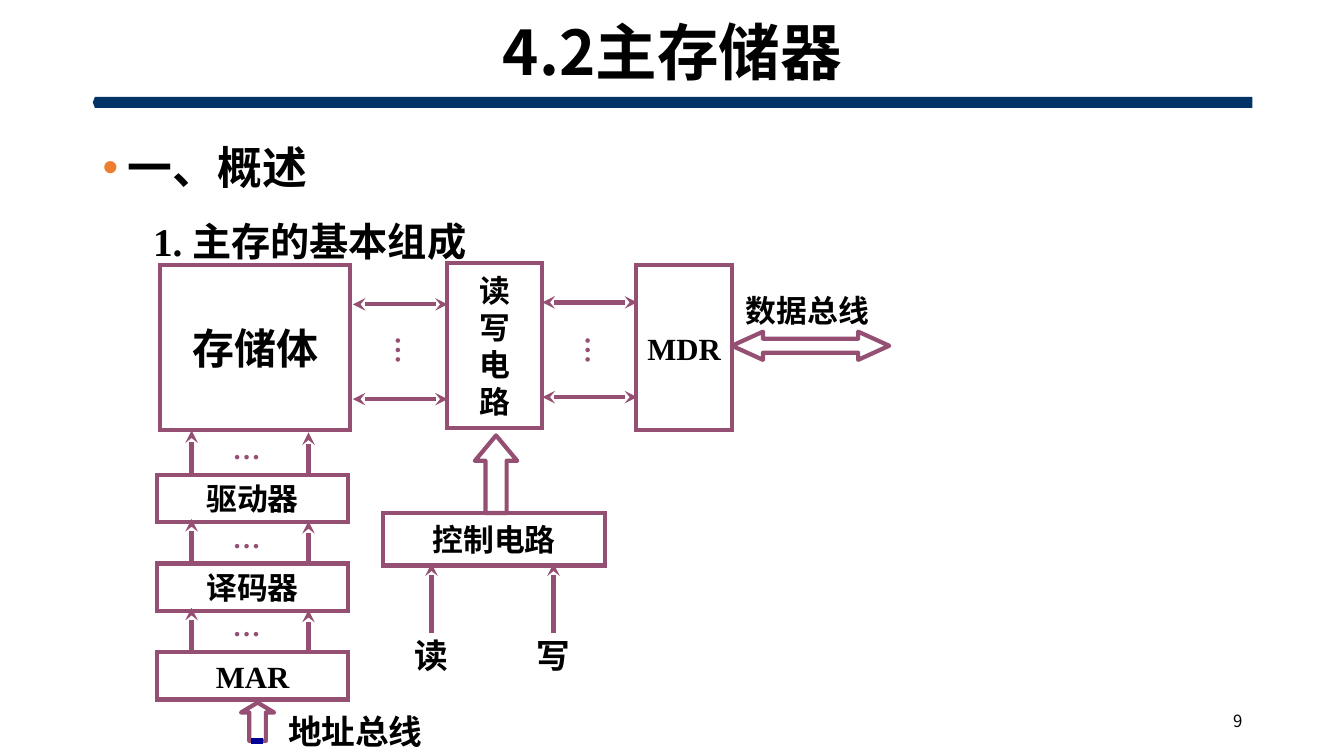
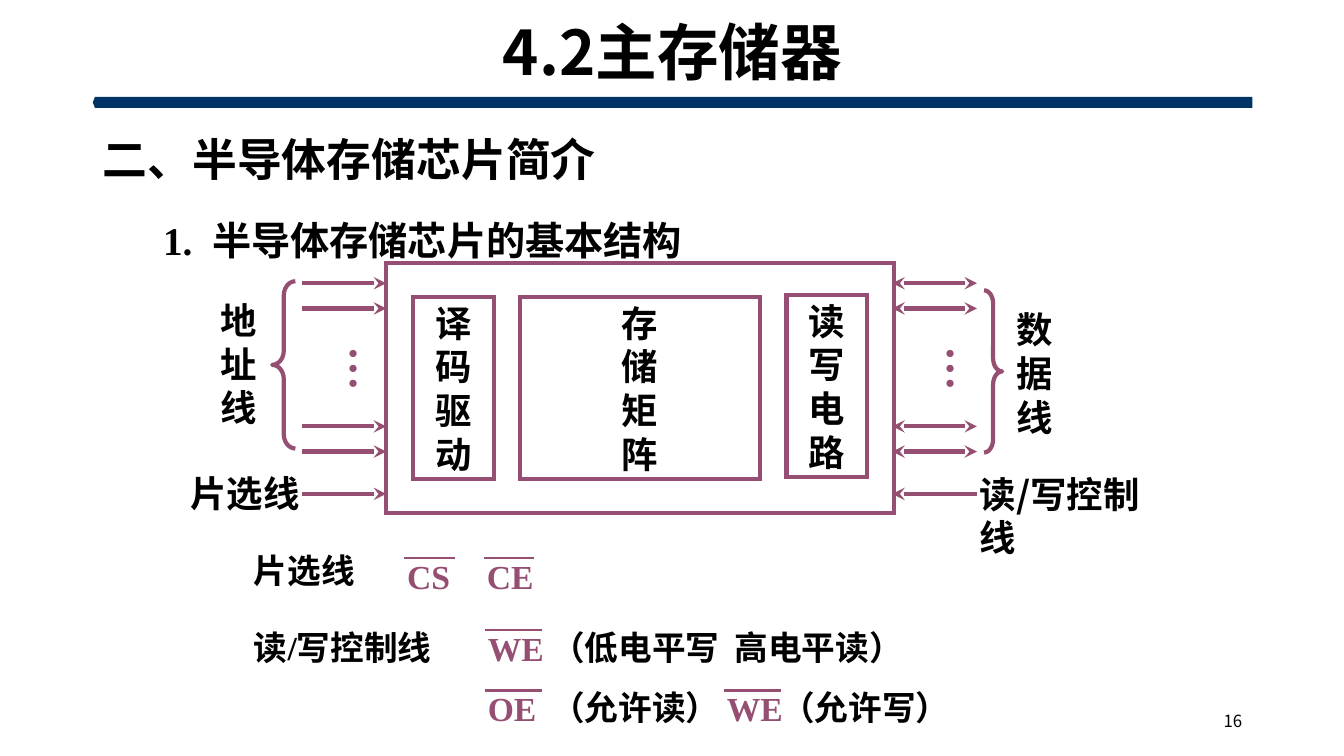
"""Build two lecture slides about main memory and memory chips."""
from lxml import etree
from pptx import Presentation
from pptx import util as u
from pptx.dml import color as dml
from pptx.enum import shapes as es
from pptx.enum import text as et
from pptx.oxml import ns

COLORS = {"black": "000000", "band": "003366", "line": "954F72",
          "bullet": "ED7D31", "mark": "000099"}
SANS = "Noto Sans CJK SC"
SERIF = "Times New Roman"
SHAPE = es.MSO_SHAPE


def rgb(name):
    """Return the named colour."""
    return dml.RGBColor.from_string(COLORS[name])


def add_element(parent, tag, **attributes):
    """Append a drawing element to a parent element."""
    return etree.SubElement(parent, ns.qn(tag), attributes)


class Deck:
    """Hold the shared style and the current slide."""

    def __init__(self):
        """Start a wide presentation."""
        self.presentation = Presentation()
        self.presentation.slide_width = u.Inches(13.33)
        self.presentation.slide_height = u.Inches(7.5)
        self.slide = None

    def place(self, at):
        """Turn inches into lengths."""
        return [u.Inches(value) for value in at]

    def style(self, paragraph, size, color="black", font=SERIF, bold=True):
        """Format the runs of a paragraph."""
        for run in paragraph.runs:
            run.font.size = u.Pt(size)
            run.font.bold = bold
            run.font.color.rgb = rgb(color)
            run.font.name = font
            add_element(run.font._element, "a:ea", typeface=SANS)

    def new_slide(self, title, number):
        """Add a slide with title, band and page number."""
        layout = self.presentation.slide_layouts[5]
        self.slide = self.presentation.slides.add_slide(layout)
        shape = self.slide.shapes.title
        shape.left, shape.top, shape.width, shape.height = self.place((0.92, 0.14, 11.5, 0.82))
        shape.text_frame.text = title
        shape.text_frame.vertical_anchor = et.MSO_ANCHOR.MIDDLE
        paragraph = shape.text_frame.paragraphs[0]
        paragraph.alignment = et.PP_ALIGN.CENTER
        paragraph.line_spacing = 0.9
        self.style(paragraph, 44, font=SANS)
        band = self.slide.shapes.add_shape(SHAPE.PENTAGON, *self.place((0.92, 0.96, 11.5, 0.11)))
        band.adjustments[0] = 0.2
        band.rotation = 180
        band.shadow.inherit = False
        band.fill.solid()
        band.fill.fore_color.rgb = rgb("band")
        band.line.fill.background()
        page = self.slide.shapes.add_textbox(*self.place((9.42, 6.95, 3, 0.4)))
        page.text_frame.word_wrap = True
        page.text_frame.vertical_anchor = et.MSO_ANCHOR.MIDDLE
        page.text_frame.text = str(number)
        paragraph = page.text_frame.paragraphs[0]
        paragraph.alignment = et.PP_ALIGN.RIGHT
        self.style(paragraph, 12, font=SANS, bold=False)

    def body(self, top, heading, topic, indent, bullet=False, gap=0):
        """Add the section heading and the topic below it."""
        shape = self.slide.shapes.add_textbox(*self.place((0.92, top, 11.5, 1.7)))
        frame = shape.text_frame
        frame.word_wrap = True
        frame.text = f"{heading}\n{topic}"
        first, second = frame.paragraphs
        if bullet:
            properties = first._p.get_or_add_pPr()
            properties.set("marL", str(u.Inches(0.25)))
            properties.set("indent", str(-u.Inches(0.25)))
            add_element(add_element(properties, "a:buClr"), "a:srgbClr", val=COLORS["bullet"])
            add_element(properties, "a:buFont", typeface="Arial")
            add_element(properties, "a:buChar", char="•")
        second._p.get_or_add_pPr().set("marL", str(u.Inches(indent)))
        second.space_before = u.Pt(gap)
        for paragraph, size in ((first, 32), (second, 28)):
            paragraph.line_spacing = 1.5
            self.style(paragraph, size)

    def label(self, text, at, size, color="black", font=SERIF, wrap=False, rotation=0, vertical=False):
        """Add a free text label."""
        shape = self.slide.shapes.add_textbox(*self.place(at))
        shape.rotation = rotation
        frame = shape.text_frame
        frame.word_wrap = wrap
        frame.auto_size = et.MSO_AUTO_SIZE.SHAPE_TO_FIT_TEXT
        if vertical:
            frame._txBody.bodyPr.set("vert", "eaVert")
        frame.text = text
        for paragraph in frame.paragraphs:
            self.style(paragraph, size, color, font)

    def outline(self, kind, at, adjustments=()):
        """Add an unfilled preset shape."""
        shape = self.slide.shapes.add_shape(kind, *self.place(at))
        for index, value in enumerate(adjustments):
            shape.adjustments[index] = value
        shape.shadow.inherit = False
        shape.fill.background()
        shape.line.color.rgb = rgb("line")
        shape.line.width = u.Pt(3)
        return shape

    def block(self, at, text="", size=22, font=SERIF):
        """Add a sharp-cornered box with centred text."""
        shape = self.outline(SHAPE.RECTANGLE, at)
        add_element(shape.line._get_or_add_ln(), "a:miter", lim="800000")
        frame = shape.text_frame
        frame.margin_left = frame.margin_right = frame.margin_top = frame.margin_bottom = 0
        frame.vertical_anchor = et.MSO_ANCHOR.MIDDLE
        frame.text = text
        for paragraph in frame.paragraphs:
            paragraph.alignment = et.PP_ALIGN.CENTER
            self.style(paragraph, size, font=font)

    def line(self, start, end, ends=(), color="line", width=3):
        """Add a line with stealth heads at the given ends."""
        connector = self.slide.shapes.add_connector(
            es.MSO_CONNECTOR.STRAIGHT, *self.place((*start, *end)))
        connector.line.color.rgb = rgb(color)
        connector.line.width = u.Pt(width)
        for end_tag in ends:
            add_element(connector.line._get_or_add_ln(), end_tag, type="stealth")
        add_element(connector._element.spPr, "a:effectLst")

    def arrow(self, start, end, both=False):
        """Add a one-way or two-way arrow."""
        self.line(start, end, ("a:headEnd", "a:tailEnd") if both else ("a:tailEnd",))

    def signal(self, name, left, top, width):
        """Add an active-low signal name with its overline."""
        self.label(name, (left - 0.07, top - 0.07, width + 0.35, 0.5), 24, "line", wrap=True)
        self.line((left, top), (left + width, top), width=1.5)


def build_memory(deck):
    """Draw the composition of the main memory."""
    deck.new_slide("4.2主存储器", 9)
    deck.body(1.07, "一、概述", "1. 主存的基本组成", 0.5, bullet=True)
    deck.block((1.59, 2.63, 1.88, 1.64), "存储体", 30)
    deck.block((4.43, 2.61, 0.95, 1.64), "读\n写\n电\n路")
    deck.block((6.31, 2.63, 0.95, 1.64), "MDR")
    deck.block((3.8, 5.09, 2.2, 0.52), "控制电路")
    for row, name in enumerate(("驱动器", "译码器", "MAR")):
        top = 4.71 + 0.88 * row
        deck.block((1.56, top, 1.89, 0.47), name)
        deck.arrow((1.9, top - 0.02), (1.9, top - 0.44))
        deck.arrow((3.06, top), (3.06, top - 0.42))
        deck.label("…", (2.21, top - 0.48, 0.63, 0.43), 20, "line", wrap=True)
    for left, top in ((3.5, 3.02), (5.38, 3)):
        for offset in (0, 0.94):
            deck.arrow((left, top + offset), (left + 0.94, top + offset), both=True)
        deck.label("…", (left + 0.04, 3.18, 0.63, 0.43), 20, "line", wrap=True, rotation=270)
    deck.outline(SHAPE.LEFT_RIGHT_ARROW, (7.26, 3.29, 1.56, 0.28), (0.5, 1.1))
    deck.outline(SHAPE.UP_ARROW, (4.71, 4.32, 0.42, 0.77), (0.5, 0.6))
    deck.outline(SHAPE.UP_ARROW, (2.39, 6.97, 0.33, 0.38), (0.5, 0.3))
    deck.line((2.49, 7.35), (2.61, 7.35), color="mark", width=4.5)
    deck.label("数据总线", (7.3, 2.85, 1.43, 0.47), 22)
    deck.label("地址总线", (2.76, 7, 1.54, 0.5), 24)
    for name, center in (("读", 4.28), ("写", 5.49)):
        deck.arrow((center, 6.28), (center, 5.59))
        deck.label(name, (center - 0.27, 6.25, 0.54, 0.5), 24)


def build_chip(deck):
    """Draw the structure of a memory chip and its control signals."""
    deck.new_slide("4.2主存储器", 16)
    deck.body(0.99, "二、半导体存储芯片简介", "1.  半导体存储芯片的基本结构", 0.6, gap=5)
    deck.block((3.83, 2.61, 5.04, 2.48))
    for name, at in (("译\n码\n驱\n动", (4.1, 2.95, 0.8, 1.8)),
                     ("存\n储\n矩\n阵", (5.16, 2.95, 2.38, 1.8)),
                     ("读\n写\n电\n路", (7.8, 2.93, 0.8, 1.8))):
        deck.block(at, name, 26, SANS)
    for top in (2.81, 3.06, 4.23, 4.48):
        deck.arrow((3, top), (3.83, top))
        deck.arrow((9.69, top), (8.85, top), both=True)
    deck.arrow((3, 4.9), (3.83, 4.9))
    deck.arrow((9.69, 4.9), (8.85, 4.9))
    for left in (3.09, 9.01):
        deck.label("…", (left, 3.34, 0.74, 0.55), 32, "line", SANS, vertical=True)
    deck.outline(SHAPE.LEFT_BRACE, (2.7, 2.79, 0.23, 1.66), (0.61, 0.5))
    deck.outline(SHAPE.RIGHT_BRACE, (9.76, 2.88, 0.18, 1.61), (0.72, 0.5))
    deck.label("地\n址\n线", (2.09, 2.91, 0.56, 1.4), 26, font=SANS, wrap=True)
    deck.label("数\n据\n线", (9.98, 3, 0.56, 1.4), 26, font=SANS, wrap=True)
    deck.label("片选线", (1.79, 4.62, 1.29, 0.53), 26, font=SANS)
    deck.label("读/写控制线", (9.62, 4.63, 2.1, 0.54), 26, font=SANS, wrap=True)
    for text, left, top, width in (("片选线", 2.42, 5.41, 1.5),
                                   ("读/写控制线", 2.42, 6.17, 2.3),
                                   ("（低电平写  高电平读）", 5.37, 6.17, 4.61),
                                   ("（允许读）", 5.37, 6.77, 2.44),
                                   ("（允许写）", 7.65, 6.77, 2.44)):
        deck.label(text, (left, top, width, 0.5), 24, wrap=True)
    for name, left, top, width in (("CS", 4.01, 5.54, 0.5), ("CE", 4.8, 5.54, 0.5),
                                   ("WE", 4.81, 6.25, 0.57), ("OE", 4.81, 6.85, 0.57),
                                   ("WE", 7.18, 6.85, 0.57)):
        deck.signal(name, left, top, width)


def main():
    """Build and save the slides."""
    deck = Deck()
    build_memory(deck)
    build_chip(deck)
    deck.presentation.save("out.pptx")


if __name__ == "__main__":
    main()
